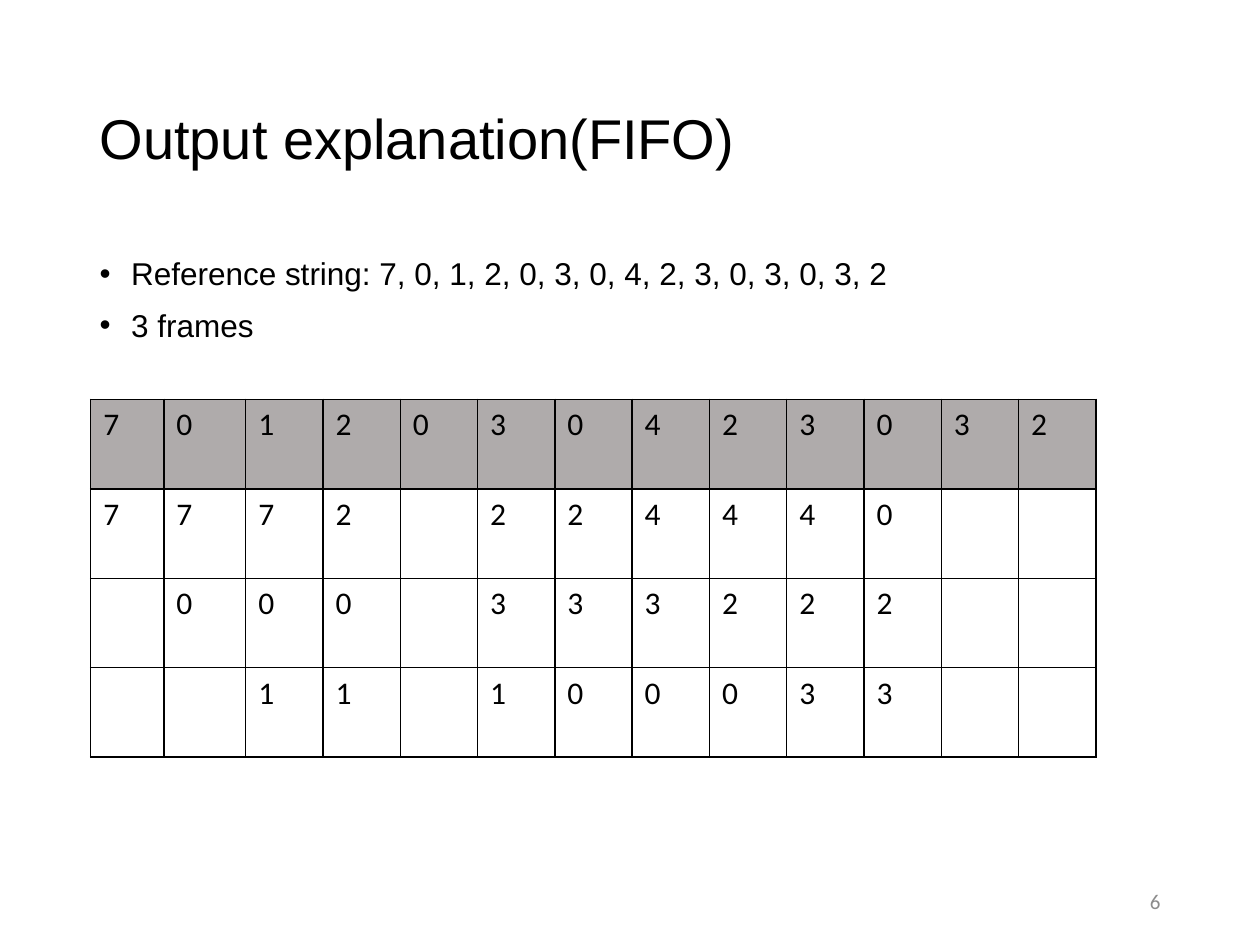
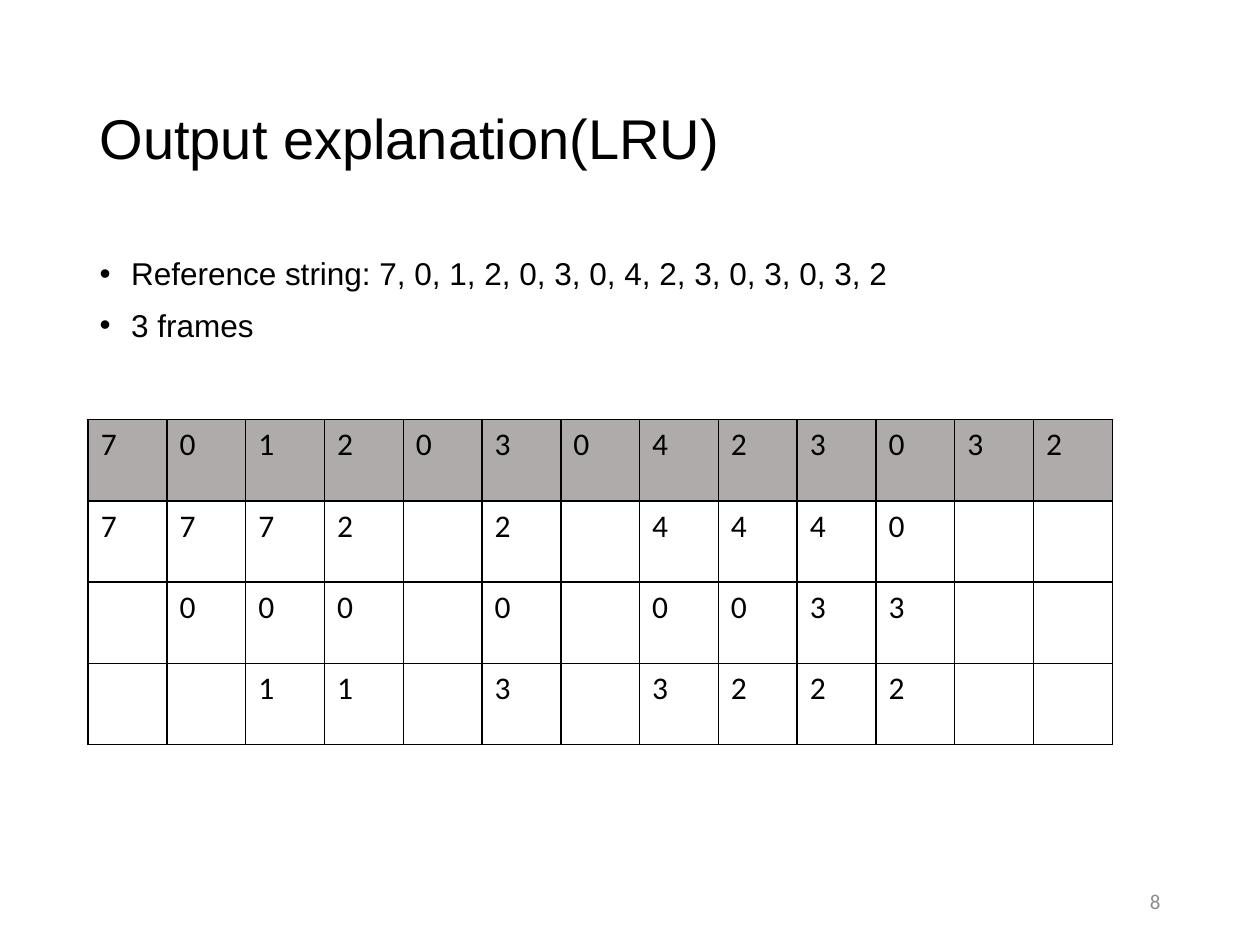
from lxml import etree
from pptx import Presentation
from pptx.dml.color import RGBColor
from pptx.enum.text import MSO_ANCHOR, MSO_AUTO_SIZE, PP_ALIGN
from pptx.oxml import parse_xml
from pptx.oxml.ns import nsdecls, qn
from pptx.util import Inches, Pt

BLACK = RGBColor(0x00, 0x00, 0x00)
WHITE = RGBColor(0xFF, 0xFF, 0xFF)
GRAY = RGBColor(0x8C, 0x8C, 0x8C)
HEAD = RGBColor(0xAF, 0xAB, 0xAB)
LEFT, RIGHT = PP_ALIGN.LEFT, PP_ALIGN.RIGHT
MIDDLE, TOP = MSO_ANCHOR.MIDDLE, MSO_ANCHOR.TOP
NO_FIT = MSO_AUTO_SIZE.NONE
SIDES = ("lnL", "lnR", "lnT", "lnB")

POINTS = ["Reference string: 7, 0, 1, 2, 0, 3, 0, 4, 2, 3, 0, 3, 0, 3, 2", "3 frames"]
REFS = "7012030423032"
FIFO = [REFS, "7772 224440  ", " 000 333222  ", "  11 100033  "]
LRU = [REFS, "7772 2 4440  ", " 000 0 0033  ", "  11 3 3222  "]


def write(para, text, font="Arial", size=18, color=BLACK, align=LEFT,
          line=1.0, before=0):
    para.alignment = align
    para.line_spacing = line
    para.space_before = Pt(before)
    run = para.add_run()
    run.text = text
    run.font.name = font
    run.font.size = Pt(size)
    run.font.color.rgb = color
    run.font.bold = False


def border(cell, width=1):
    props = cell._tc.get_or_add_tcPr()
    for spot, side in enumerate(SIDES):
        props.insert(spot, parse_xml(
            f'<a:{side} {nsdecls("a")} w="{Pt(width)}"><a:solidFill>'
            f'<a:srgbClr val="{BLACK}"/></a:solidFill></a:{side}>'))


def bullet(para, indent=0.25):
    props = para._p.get_or_add_pPr()
    props.set("marL", str(Inches(indent)))
    props.set("indent", str(-Inches(indent)))
    etree.SubElement(props, qn("a:buFont")).set("typeface", "Arial")
    etree.SubElement(props, qn("a:buChar")).set("char", "•")


class Deck:
    def __init__(self):
        self.show = Presentation()
        self.show.slide_width = Inches(10)
        self.show.slide_height = Inches(7.5)
        self.slide = None

    def page(self):
        self.slide = self.show.slides.add_slide(self.show.slide_layouts[1])

    def place(self, shape, left, top, width, height, anchor):
        shape.left, shape.top = Inches(left), Inches(top)
        shape.width, shape.height = Inches(width), Inches(height)
        frame = shape.text_frame
        frame.word_wrap = True
        frame.auto_size = NO_FIT
        frame.vertical_anchor = anchor
        return frame

    def title(self, text):
        frame = self.place(self.slide.shapes.title, 0.69, 0.4, 8.62, 1.45, MIDDLE)
        write(frame.paragraphs[0], text, size=32, line=0.9)

    def points(self, items):
        frame = self.place(self.slide.placeholders[1], 0.69, 2, 8.62, 4.76, TOP)
        for spot, item in enumerate(items):
            para = frame.add_paragraph() if spot else frame.paragraphs[0]
            write(para, item, line=0.9, before=10)
            bullet(para)

    def grid(self, rows, left, top, widths, high):
        shape = self.slide.shapes.add_table(
            len(rows), len(widths), Inches(left), Inches(top),
            Inches(sum(widths)), Inches(high * len(rows)))
        table = shape.table
        table.first_row = table.horz_banding = False
        for col, width in zip(table.columns, widths):
            col.width = Inches(width)
        for spot, (row, marks) in enumerate(zip(table.rows, rows)):
            row.height = Inches(high)
            for cell, mark in zip(row.cells, marks):
                cell.fill.solid()
                cell.fill.fore_color.rgb = WHITE if spot else HEAD
                border(cell)
                if mark.strip():
                    write(cell.text_frame.paragraphs[0], mark, font="Calibri")

    def number(self, text):
        box = self.slide.shapes.add_textbox(0, 0, 0, 0)
        frame = self.place(box, 7.06, 6.95, 2.25, 0.4, MIDDLE)
        write(frame.paragraphs[0], text, font="Calibri", size=12,
              color=GRAY, align=RIGHT)


def main():
    deck = Deck()
    pages = [
        ("FIFO", FIFO, 0.72, 3.17, [0.58, 0.65] + [6.75 / 11] * 11, 0.71, "6"),
        ("LRU", LRU, 0.7, 3.33, [8.13 / 13] * 13, 0.645, "8"),
    ]
    for name, rows, left, top, widths, high, number in pages:
        deck.page()
        deck.title(f"Output explanation({name})")
        deck.points(POINTS)
        deck.grid(rows, left, top, widths, high)
        deck.number(number)
    deck.show.save("out.pptx")


if __name__ == "__main__":
    main()
